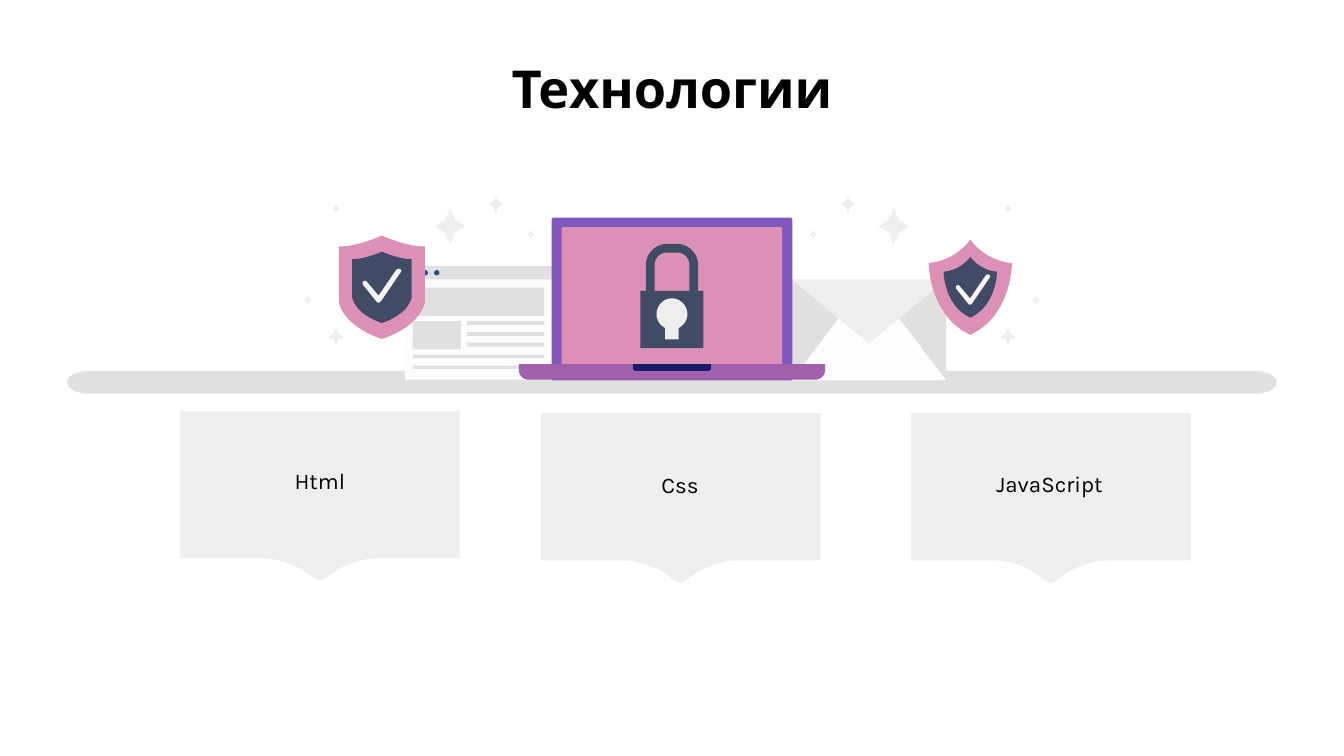
"""Build the technologies slide on a grid of 1000 columns, with square cells, on a 16:9 page."""
from pptx import Presentation
from pptx import util as u
from pptx.dml import color as c
from pptx.enum import shapes as s, text as t

presentation = Presentation()
presentation.slide_width = u.Inches(10)
presentation.slide_height = presentation.slide_width * 9 // 16
cell = presentation.slide_width // 1000
slide = presentation.slides.add_slide(presentation.slide_layouts[5])
RECTANGLE, OVAL, STAR = s.MSO_SHAPE.RECTANGLE, s.MSO_SHAPE.OVAL, s.MSO_SHAPE.STAR_4_POINT
ROUNDED = s.MSO_SHAPE.ROUNDED_RECTANGLE
PALE, GREY, WHITE, PINK, SLATE = "EEEEEE", "E0E0E0", "FDFDFF", "DD90B6", "424B66"


def preset(shapes, kind, box, color):
    """Place a borderless preset shape on the grid."""
    shape = shapes.add_shape(kind, *[round(cell * value) for value in box])
    shape.shadow.inherit = False
    shape.fill.solid()
    shape.fill.fore_color.rgb = c.RGBColor.from_string(color)
    shape.line.fill.background()
    return shape


def outline(shapes, path, color, centre=(0, 0), scale=1):
    """Draw a closed outline from points (2 values) and Bezier segments (6 values)."""
    points = [path[0]]
    for segment in path[1:]:
        if len(segment) == 2:
            points.append(segment)
            continue
        nodes = [points[-1], segment[:2], segment[2:4], segment[4:]]
        for step in range(1, 13):
            f = step / 12
            weights = ((1 - f) ** 3, 3 * f * (1 - f) ** 2, 3 * f * f * (1 - f), f ** 3)
            points.append(tuple(sum(w * node[axis] for w, node in zip(weights, nodes)) for axis in (0, 1)))
    points = [tuple(cell * (centre[axis] + scale * point[axis]) for axis in (0, 1)) for point in points]
    builder = shapes.build_freeform(*points[0])
    builder.add_line_segments(points[1:], close=True)
    shape = builder.convert_to_shape()
    shape.shadow.inherit = False
    shape.fill.solid()
    shape.fill.fore_color.rgb = c.RGBColor.from_string(color)
    shape.line.fill.background()


scene = slide.shapes.add_group_shape().shapes

floor = [(66, 276), (57, 276, 50, 280, 50, 284.5), (50, 289, 57, 293, 66, 293), (934, 293),
         (943, 293, 950, 289, 950, 284.5), (950, 280, 943, 276, 934, 276)]
outline(scene, floor, GREY)

preset(scene, RECTANGLE, (301.5, 198, 109.5, 84.5), WHITE)
preset(scene, RECTANGLE, (301.5, 198, 109.5, 10), GREY)
for column in range(3):
    preset(scene, OVAL, (306 + 8.5 * column, 201, 4, 4), "2D4C8A")
page_blocks = [(307, 214, 98, 21), (307, 239, 36, 21)]
page_blocks += [(347.5, 239 + 8 * row, 57.5, 3) for row in range(3)]
page_blocks += [(307, 264 + 8 * row, 98, 2.5) for row in range(2)]
for block in page_blocks:
    preset(scene, RECTANGLE, block, GREY)

preset(scene, RECTANGLE, (589, 208, 115, 75), GREY)
outline(scene, [(624, 237), (589, 283), (704, 283), (669, 237)], WHITE)
outline(scene, [(589, 208), (646.5, 255.5), (704, 208)], PALE)

pointed_shield = [(0, -35.5), (0, -35.5, -10, -20, -31, -18), (-31, -18, -31, 21, 0, 35.5),
                  (31, 21, 31, -18, 31, -18), (10, -20, 0, -35.5, 0, -35.5)]
broad_shield = [(0, -38.5), (-16, -31.5, -26, -30.5, -30, -30.5), (-32, -30.5), (-32, 11.5),
                (-27, 30.5, 0, 38.5, 0, 38.5), (0, 38.5, 27, 30.5, 32, 11.5), (32, -30.5),
                (30, -30.5), (26, -30.5, 16, -31.5, 0, -38.5)]
check = [(12, -13), (11.5, -13, 11, -12.5, 10.5, -12), (-2.5, 7), (-11, -3),
         (-11.5, -4, -12, -4, -12.5, -4), (-14, -4, -15, -2.5, -14, -1), (-4, 11.5),
         (-3, 12.5, -2, 12.5, -1, 11.5), (14, -10.5), (15, -12, 14, -13, 12, -13)]
for shield, centre, inner, check_centre, check_scale in (
        (pointed_shield, (722, 213.8), 0.64, (724, 215.8), 0.89),
        (broad_shield, (284.2, 213.8), 0.69, (284.2, 213), 1)):
    outline(scene, shield, PINK, centre)
    outline(scene, shield, SLATE, centre, inner)
    outline(scene, check, "F6F6F6", check_centre, check_scale)

for box, color in (((410.5, 162, 179, 121), "8058BE"), ((418, 169, 164, 106), PINK)):
    preset(scene, ROUNDED, box, color).adjustments[0] = 0.01
base = [(386, 271), (386, 275), (386, 279, 389, 282.5, 393, 282.5), (607, 282.5),
        (611, 282.5, 614, 279, 614, 275), (614, 271)]
notch = [(471, 271), (471, 274), (471, 275, 472, 276, 473, 276), (527, 276),
         (528, 276, 529, 275, 529, 274), (529, 271)]
shackle = [(480.5, 217), (480.5, 197.5), (480.5, 188.5, 488, 181.5, 496, 181.5), (504, 181.5),
           (512, 181.5, 519.5, 188.5, 519.5, 197.5), (519.5, 217), (513, 217), (513, 197.5),
           (513, 192, 509, 188, 504, 188), (496, 188), (491, 188, 487, 192, 487, 197.5), (487, 217)]
keyhole = [(500, 222), (494, 222, 488.5, 227, 488.5, 234), (488.5, 238, 491, 242, 495, 244),
           (495, 252.5), (505, 252.5), (505, 244), (509, 242, 511.5, 238, 511.5, 234),
           (511.5, 227, 506, 222, 500, 222)]
outline(scene, base, "A060AD")
outline(scene, notch, "1C1C66")
outline(scene, shackle, SLATE)
preset(scene, RECTANGLE, (476.5, 216.5, 47, 42.5), SLATE)
outline(scene, keyhole, PALE)

for side in (1, -1):
    for distance, middle, width, height in ((105, 174.5, 6, 7), (131, 152, 11.5, 13), (165, 168.5, 23, 27),
                                            (250, 250.5, 11, 13), (271, 223.5, 6, 7), (250, 155, 6, 7)):
        box = (500 + side * distance - width / 2, middle - height / 2, width, height)
        preset(scene, STAR, box, PALE).adjustments[0] = 0.24

callout = [(-104, 0), (104, 0), (104, 109.5), (43, 109.5), (32, 109.5, 22, 113, 13, 118), (3, 125),
           (1, 126.5, -1, 126.5, -3, 125), (-13, 118), (-22, 113, -32, 109.5, -43, 109.5), (-104, 109.5)]
labels = [(slide.shapes.title, (50, 32, 900, 63), "Технологии", 28, True, t.MSO_ANCHOR.TOP, 0.1)]
for name, middle, top, box in (("Css", 506.5, 307.5, (433, 334.5, 146, 52)),
                               ("Html", 238, 306, (133, 330, 210, 55)),
                               ("JavaScript", 782, 307.5, (676, 332, 210, 55))):
    group = slide.shapes.add_group_shape().shapes
    outline(group, callout, PALE, (middle, top))
    label = group.add_textbox(0, 0, cell, cell)
    labels.append((label, box, name, 12, False, t.MSO_ANCHOR.MIDDLE, 0.2))

for shape, box, words, size, bold, anchor, margin in labels:
    for name, value in zip(("left", "top", "width", "height"), box):
        setattr(shape, name, round(cell * value))
    frame = shape.text_frame
    frame_format = {"word_wrap": True, "auto_size": t.MSO_AUTO_SIZE.NONE, "vertical_anchor": anchor,
                    "margin_left": u.Inches(margin), "margin_right": u.Inches(margin),
                    "margin_top": u.Inches(0.1), "margin_bottom": u.Inches(0.1)}
    for name, value in frame_format.items():
        setattr(frame, name, value)
    paragraph = frame.paragraphs[0]
    paragraph.alignment = t.PP_ALIGN.CENTER
    run = paragraph.add_run()
    run.text = words
    for name, value in {"name": "Karla", "size": u.Pt(size), "bold": bold}.items():
        setattr(run.font, name, value)
    run.font.color.rgb = c.RGBColor.from_string("000000")

presentation.save("out.pptx")
